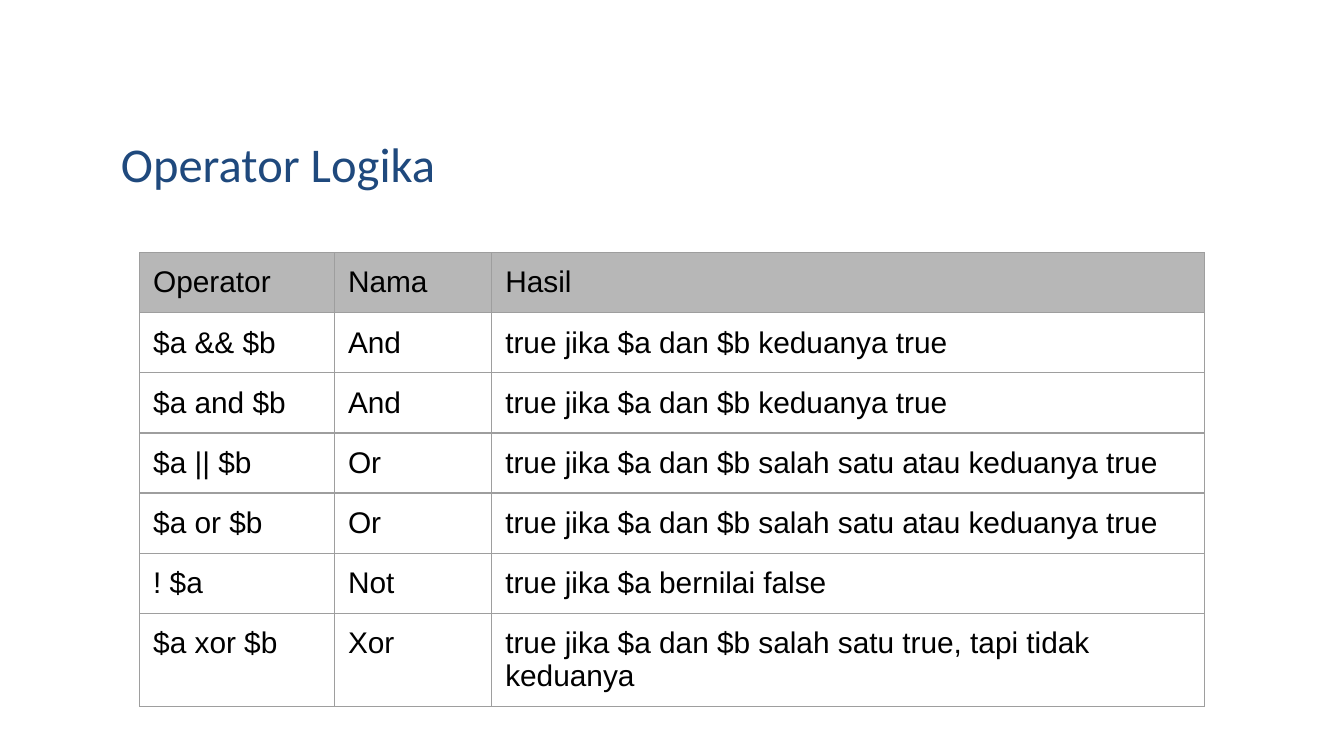
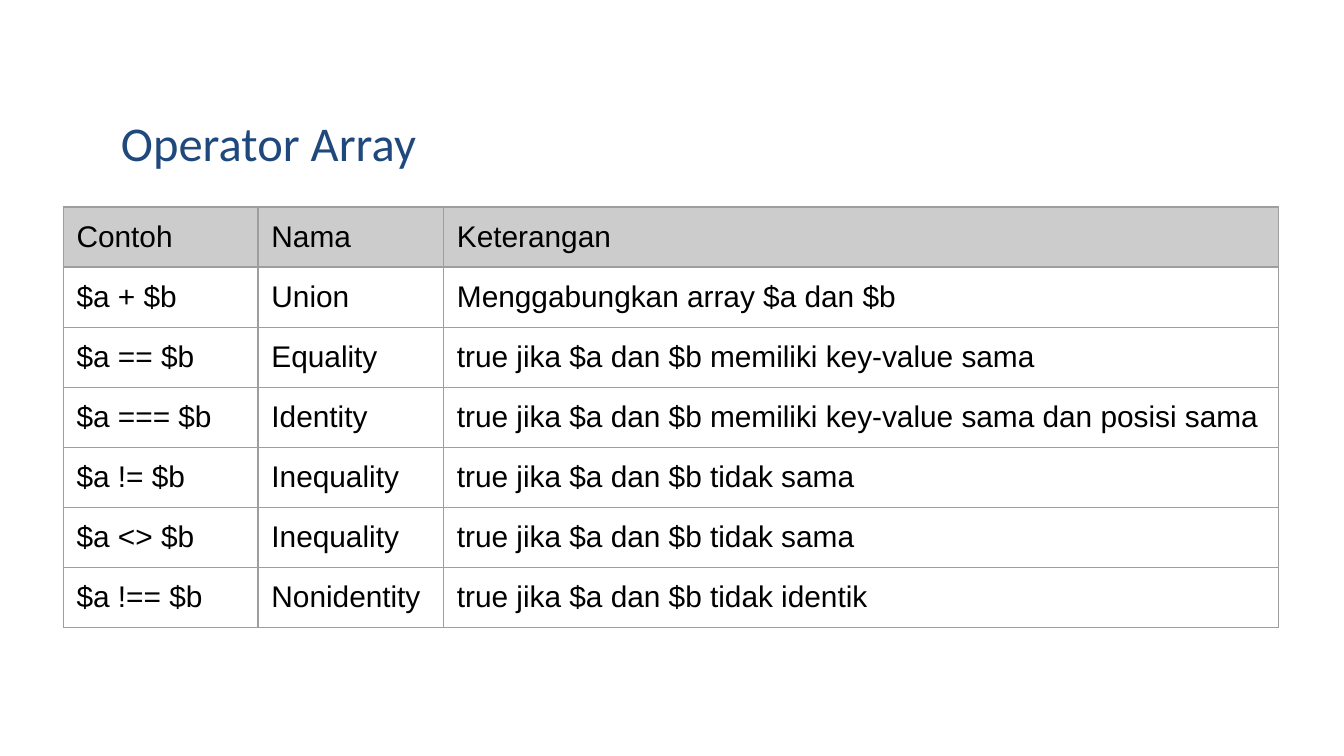
"""Build two slides with tables of logical and array operators."""
from lxml.etree import SubElement
from pptx import Presentation
from pptx.dml.color import RGBColor
from pptx.enum.text import MSO_ANCHOR, MSO_AUTO_SIZE, PP_ALIGN
from pptx.oxml.ns import qn
from pptx.util import Inches, Pt

COLORS = {
    "title": "1F497D",
    "text": "000000",
    "border": "9E9E9E",
    "logic_header": "B7B7B7",
    "array_header": "CCCCCC",
}
INSET = Inches(0.1)
ROW_HEIGHT = Inches(0.42)

SLIDES = [
    {
        "title": "Operator Logika",
        "title_top": 0.9,
        "table_at": (1.04, 1.88),
        "columns": (1.45, 1.17, 5.3),
        "header": "logic_header",
        "rows": [
            ("Operator", "Nama", "Hasil"),
            ("$a && $b", "And", "true jika $a dan $b keduanya true"),
            ("$a and $b", "And", "true jika $a dan $b keduanya true"),
            ("$a || $b", "Or", "true jika $a dan $b salah satu atau keduanya true"),
            ("$a or $b", "Or", "true jika $a dan $b salah satu atau keduanya true"),
            ("! $a", "Not", "true jika $a bernilai false"),
            ("$a xor $b", "Xor", "true jika $a dan $b salah satu true, tapi tidak keduanya"),
        ],
    },
    {
        "title": "Operator Array",
        "title_top": 0.74,
        "table_at": (0.47, 1.54),
        "columns": (1.45, 1.38, 6.21),
        "header": "array_header",
        "rows": [
            ("Contoh", "Nama", "Keterangan"),
            ("$a + $b", "Union", "Menggabungkan array $a dan $b"),
            ("$a == $b", "Equality", "true jika $a dan $b memiliki key-value sama"),
            ("$a === $b", "Identity", "true jika $a dan $b memiliki key-value sama dan posisi sama"),
            ("$a != $b", "Inequality", "true jika $a dan $b tidak sama"),
            ("$a <> $b", "Inequality", "true jika $a dan $b tidak sama"),
            ("$a !== $b", "Nonidentity", "true jika $a dan $b tidak identik"),
        ],
    },
]


def write(frame, text, font_name, size, color):
    para = frame.paragraphs[0]
    para.alignment = PP_ALIGN.LEFT
    span = para.add_run()
    span.text = text
    span.font.name = font_name
    span.font.size = Pt(size)
    span.font.color.rgb = RGBColor.from_string(COLORS[color])


def add_borders(cell):
    properties = cell._tc.get_or_add_tcPr()
    for side in ("a:lnL", "a:lnR", "a:lnT", "a:lnB"):
        line = SubElement(properties, qn(side), w=str(Pt(0.75)))
        fill = SubElement(line, qn("a:solidFill"))
        SubElement(fill, qn("a:srgbClr"), val=COLORS["border"])


deck = Presentation()
deck.slide_width = Inches(10)
deck.slide_height = deck.slide_width * 9 // 16

for content in SLIDES:
    page = deck.slides.add_slide(deck.slide_layouts[5])

    title = page.shapes.title
    title.left, title.top = Inches(0.8), Inches(content["title_top"])
    title.width, title.height = Inches(8.41), Inches(0.59)
    frame = title.text_frame
    frame.margin_left = frame.margin_right = INSET
    frame.margin_top = frame.margin_bottom = INSET
    frame.word_wrap = True
    frame.auto_size = MSO_AUTO_SIZE.NONE
    frame.vertical_anchor = MSO_ANCHOR.TOP
    write(frame, content["title"], "Calibri", 26, "title")

    rows, columns = content["rows"], content["columns"]
    left, top = content["table_at"]
    table = page.shapes.add_table(
        len(rows), len(columns), Inches(left), Inches(top),
        Inches(sum(columns)), ROW_HEIGHT * len(rows),
    ).table
    table.first_row = False
    table.horz_banding = False
    for column, width in zip(table.columns, columns):
        column.width = Inches(width)

    for row_index, texts in enumerate(rows):
        table.rows[row_index].height = ROW_HEIGHT
        for column_index, text in enumerate(texts):
            cell = table.cell(row_index, column_index)
            cell.margin_left = cell.margin_right = INSET
            cell.margin_top = cell.margin_bottom = INSET
            add_borders(cell)
            if row_index == 0:
                cell.fill.solid()
                cell.fill.fore_color.rgb = RGBColor.from_string(COLORS[content["header"]])
            else:
                cell.fill.background()
            write(cell.text_frame, text, "Arial", 16, "text")

deck.save("out.pptx")
